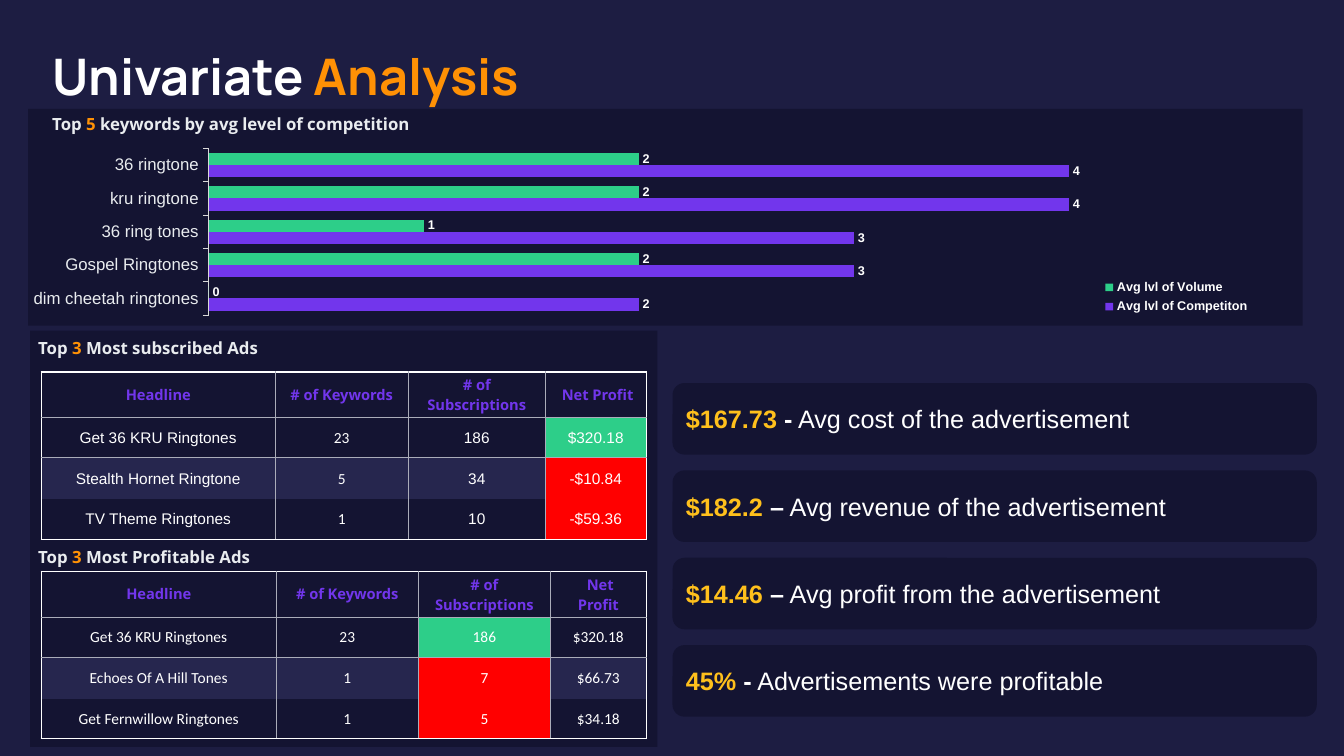
from lxml import etree
from pptx import Presentation
from pptx import util as u
from pptx.chart.data import CategoryChartData
from pptx.dml.color import RGBColor
from pptx.enum import chart as charts, shapes, text
from pptx.oxml import ns

BACKGROUND, PANEL, BAND = "1D1D42", "141432", "26264E"
WHITE, PALE, GREY = "FFFFFF", "E9ECEF", "AAACB9"
ORANGE, GOLD, PURPLE, GREEN, RED = "FF9105", "FFC01C", "7236EC", "2DCE89", "FF0000"
NO_STYLE = "{2D5ABB26-0587-4C30-8999-92F81FD0307C}"


def color(value):
    return RGBColor.from_string(value)


def inches(*lengths):
    return [u.Inches(length) for length in lengths]


def style_font(font, name, size, hex_color, bold=False):
    font.name, font.size, font.bold = name, u.Pt(size), bold
    font.color.rgb = color(hex_color)


def add_runs(paragraph, name, size, runs):
    """Each run is (text, colour, bold)."""
    for words, hex_color, bold in runs:
        run = paragraph.add_run()
        run.text = words
        style_font(run.font, name, size, hex_color, bold)


def add_panel(slide, box, kind=shapes.MSO_SHAPE.RECTANGLE):
    shape = slide.shapes.add_shape(kind, *inches(*box))
    shape.shadow.inherit = False
    shape.fill.solid()
    shape.fill.fore_color.rgb = color(PANEL)
    shape.line.fill.background()
    return shape


def add_heading(slide, box, name, size, runs):
    frame = slide.shapes.add_textbox(*inches(*box)).text_frame
    frame.word_wrap = True
    frame.auto_size = text.MSO_AUTO_SIZE.SHAPE_TO_FIT_TEXT
    add_runs(frame.paragraphs[0], name, size, [(*run, True) for run in runs])


def add_top_heading(slide, box, count, subject):
    runs = [("Top ", PALE), (count, ORANGE), (" " + subject, PALE)]
    add_heading(slide, box, "Open Sans", 12, runs)


# Keyword chart
def set_layout(parent, position, x, y, width, height, inner=False):
    """Fix the place of a plot area or legend as fractions of the chart."""
    for old in parent.findall(ns.qn("c:layout")):
        parent.remove(old)
    layout = etree.Element(ns.qn("c:layout"))
    manual = etree.SubElement(layout, ns.qn("c:manualLayout"))
    values = [("xMode", "edge"), ("yMode", "edge"),
              ("x", x), ("y", y), ("w", width), ("h", height)]
    if inner:
        values.insert(0, ("layoutTarget", "inner"))
    for tag, value in values:
        etree.SubElement(manual, ns.qn("c:" + tag)).set("val", str(value))
    parent.insert(position, layout)


def add_keyword_chart(slide, left, top, width, height):
    add_panel(slide, (left, top, width, height))
    add_top_heading(slide, (left + 0.14, top, 5.57, 0.3), "5",
                    "keywords by avg level of competition")
    data = CategoryChartData()
    data.categories = ["dim cheetah ringtones", "Gospel Ringtones",
                       "36 ring tones", "kru ringtone", "36 ringtone"]
    data.add_series("Avg lvl of Competiton", (2, 3, 3, 4, 4))
    data.add_series("Avg lvl of Volume", (0, 2, 1, 2, 2))
    chart = slide.shapes.add_chart(
        charts.XL_CHART_TYPE.BAR_CLUSTERED,
        *inches(left, top + 0.24, width - 0.46, height - 0.19), data).chart
    chart.has_title = False
    style_font(chart.font, "Arial", 10, WHITE)

    plot = chart.plots[0]
    plot.gap_width, plot.overlap, plot.vary_by_categories = 75, 0, False
    for series, fill in zip(plot.series, (PURPLE, GREEN)):
        series.format.fill.solid()
        series.format.fill.fore_color.rgb = color(fill)
        labels = series.data_labels
        labels.show_value = True
        labels.position = charts.XL_LABEL_POSITION.OUTSIDE_END
        style_font(labels.font, "Arial", 9, WHITE, True)

    category_axis, value_axis = chart.category_axis, chart.value_axis
    category_axis.major_tick_mark = charts.XL_TICK_MARK.OUTSIDE
    category_axis.format.line.color.rgb = color("D9D9D9")
    category_axis.format.line.width = u.Pt(0.75)
    style_font(category_axis.tick_labels.font, "Arial", 12, PALE)
    value_axis.minimum_scale, value_axis.maximum_scale = 0, 4.5
    value_axis.has_major_gridlines = False
    value_axis.visible = False

    chart.has_legend = True
    legend = chart.legend
    legend.position = charts.XL_LEGEND_POSITION.RIGHT
    legend.include_in_layout = False
    style_font(legend.font, "Arial", 9, WHITE, True)
    plot_area = chart._chartSpace.find(".//" + ns.qn("c:plotArea"))
    set_layout(plot_area, 0, 0.147, 0.078, 0.788, 0.844, inner=True)
    set_layout(legend._element, 1, 0.87, 0.72, 0.13, 0.22)


# Ad tables
def set_border(cell, side, hex_color, width):
    line = etree.SubElement(cell._tc.get_or_add_tcPr(), ns.qn("a:ln" + side))
    line.set("w", str(u.Pt(width)))
    fill = etree.SubElement(line, ns.qn("a:solidFill"))
    etree.SubElement(fill, ns.qn("a:srgbClr")).set("val", hex_color)


def set_borders(cell, row, column, last_row, last_column):
    outer, inner = (WHITE, 1), (GREY, 0.5)
    set_border(cell, "L", *(outer if column == 0 else inner))
    set_border(cell, "R", *(outer if column == last_column else inner))
    if row <= 1:
        set_border(cell, "T", *(outer if row == 0 else inner))
    if row in (0, last_row):
        set_border(cell, "B", *(inner if row == 0 else outer))


def add_ad_table(slide, left, top, widths, fonts, marked_column, ads):
    rows = [("Headline", "# of Keywords", "# of Subscriptions", " Net Profit"), *ads]
    heights = (0.45, 0.4, 0.41, 0.4)
    table = slide.shapes.add_table(
        len(rows), len(widths),
        *inches(left, top, sum(widths), sum(heights))).table
    table.first_row = table.horz_banding = False
    table._tbl.tblPr.find(ns.qn("a:tableStyleId")).text = NO_STYLE
    for column, width in zip(table.columns, widths):
        column.width = u.Inches(width)
    for r, (values, height) in enumerate(zip(rows, heights)):
        table.rows[r].height = u.Inches(height)
        for c, value in enumerate(values):
            cell = table.cell(r, c)
            set_borders(cell, r, c, len(rows) - 1, len(widths) - 1)
            cell.vertical_anchor = text.MSO_ANCHOR.MIDDLE
            paragraph = cell.text_frame.paragraphs[0]
            paragraph.alignment = text.PP_ALIGN.CENTER
            side, above, below = (0.12, 0.03, 0.03) if r == 0 else (0.01, 0.01, 0)
            cell.margin_left = cell.margin_right = u.Inches(side)
            cell.margin_top, cell.margin_bottom = inches(above, below)
            if r == 0:
                add_runs(paragraph, "Open Sans", 10.5, [(value, PURPLE, True)])
            else:
                add_runs(paragraph, fonts[c], 11, [(value, WHITE, False)])
            fill = BAND if r == 2 else None
            if r and c == marked_column:
                fill = GREEN if r == 1 else RED
            if fill:
                cell.fill.solid()
                cell.fill.fore_color.rgb = color(fill)
            else:
                cell.fill.background()


def add_ads_region(slide, left, top, width, height):
    add_panel(slide, (left, top, width, height))
    add_top_heading(slide, (left - 0.02, top + 0.02, 3.3, 0.3), "3",
                    "Most subscribed Ads")
    add_ad_table(slide, left + 0.11, top + 0.41, (2.32, 1.32, 1.36, 1),
                 ("Arial", "Calibri", "Arial", "Arial"), 3,
                 [("Get 36 KRU Ringtones", "23", "186", "$320.18"),
                  ("Stealth Hornet Ringtone", "5", "34", "-$10.84"),
                  ("TV Theme Ringtones", "1", "10", "-$59.36")])
    add_top_heading(slide, (left - 0.02, top + 2.09, 3.3, 0.3), "3",
                    "Most Profitable Ads")
    add_ad_table(slide, left + 0.11, top + 2.39, (2.33, 1.41, 1.31, 0.95),
                 ("Calibri",) * 4, 2,
                 [("Get 36 KRU Ringtones", "23", "186", "$320.18"),
                  ("Echoes Of A Hill Tones", "1", "7", "$66.73"),
                  ("Get Fernwillow Ringtones", "1", "5", "$34.18")])


# Key figures
def add_key_figures(slide, left, top, width, height):
    figures = [("$167.73", "-", "Avg cost of the advertisement"),
               ("$182.2", "–", "Avg revenue of the advertisement"),
               ("$14.46", "–", "Avg profit from the advertisement"),
               ("45%", "-", "Advertisements were profitable")]
    card_height = 0.71
    pitch = (height - card_height) / (len(figures) - 1)
    for index, (figure, dash, meaning) in enumerate(figures):
        card = add_panel(slide, (left, top + index * pitch, width, card_height),
                         shapes.MSO_SHAPE.ROUNDED_RECTANGLE)
        card.text_frame.word_wrap = True
        card.text_frame.vertical_anchor = text.MSO_ANCHOR.MIDDLE
        paragraph = card.text_frame.paragraphs[0]
        paragraph.alignment = text.PP_ALIGN.LEFT
        add_runs(paragraph, "Arial", 18,
                 [(figure + " ", GOLD, True), (dash, WHITE, True),
                  (" " + meaning, WHITE, False)])


def main():
    presentation = Presentation()
    presentation.slide_width, presentation.slide_height = inches(13.33, 7.5)
    slide = presentation.slides.add_slide(presentation.slide_layouts[6])
    slide.background.fill.solid()
    slide.background.fill.fore_color.rgb = color(BACKGROUND)
    add_heading(slide, (0.42, 0.4, 12.18, 0.71), "Manrope", 36,
                [("Univariate ", WHITE), ("Analysis", ORANGE)])
    add_keyword_chart(slide, 0.28, 1.08, 12.64, 2.15)
    add_ads_region(slide, 0.3, 3.28, 6.22, 4.13)
    add_key_figures(slide, 6.67, 3.8, 6.39, 3.31)
    presentation.save("out.pptx")


if __name__ == "__main__":
    main()
